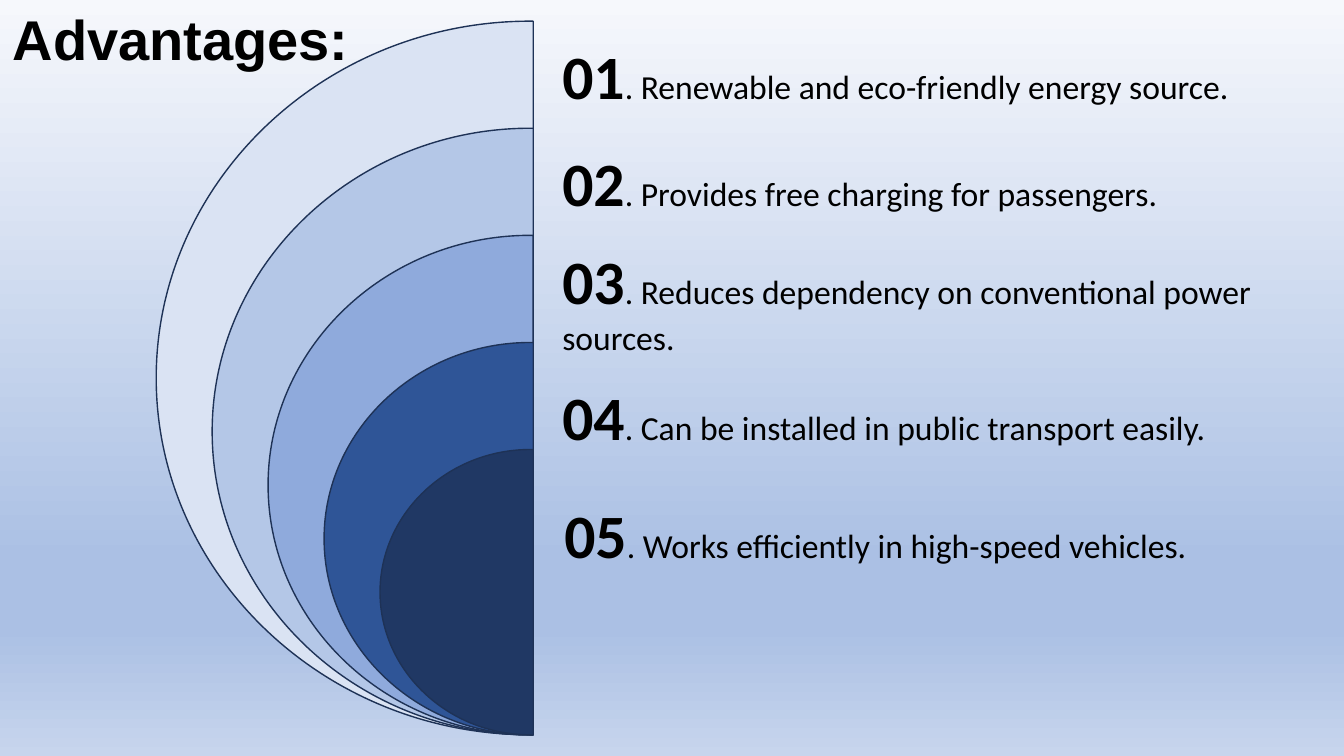
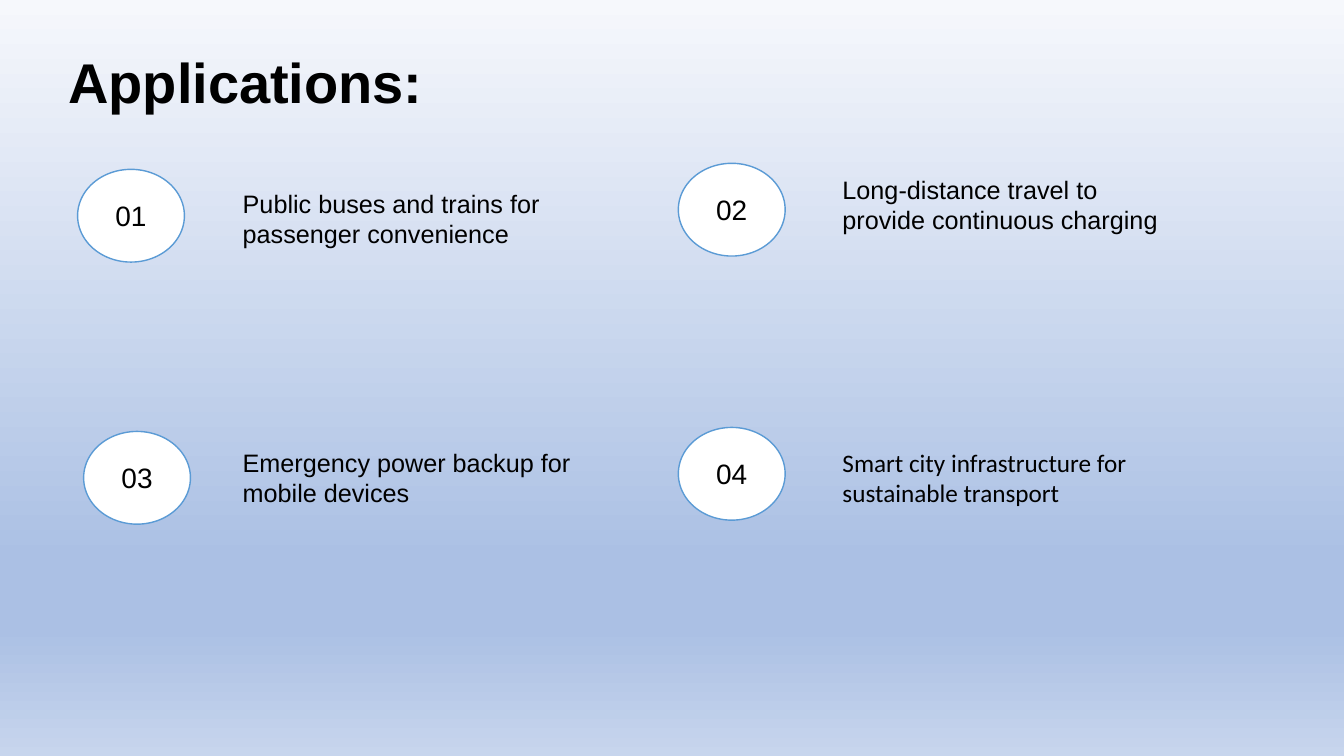
"""Build two slides on the advantages and applications of a charging system."""
from lxml import etree
from pptx import Presentation
from pptx.dml.color import RGBColor
from pptx.enum import shapes, text
from pptx.oxml import ns
from pptx.util import Inches, Pt

BLACK = RGBColor(0x00, 0x00, 0x00)
WHITE = RGBColor(0xFF, 0xFF, 0xFF)
RING_LINE = RGBColor(0x1E, 0x32, 0x56)
BADGE_LINE = RGBColor(0x5B, 0x9B, 0xD5)
SKY_PALE = RGBColor(0xF6, 0xF8, 0xFC)
SKY_DEEP = RGBColor(0xAB, 0xC0, 0xE4)
SKY_LOW = RGBColor(0xC7, 0xD5, 0xED)
SKY_STOPS = [(0, SKY_PALE), (74, SKY_DEEP), (83, SKY_DEEP), (100, SKY_LOW)]
RING_FILLS = [
    RGBColor(0xDA, 0xE3, 0xF3),
    RGBColor(0xB4, 0xC7, 0xE7),
    RGBColor(0x8F, 0xAA, 0xDC),
    RGBColor(0x2F, 0x55, 0x97),
    RGBColor(0x20, 0x38, 0x64),
]
ARC_PULL = 0.55

HEADING_FONT = "Arial"
BODY_FONT = "Calibri"
JUSTIFY = text.PP_ALIGN.JUSTIFY
LEFT = text.PP_ALIGN.LEFT

ADVANTAGES = [
    (5.48, 0.33, 7.21, 0.84, JUSTIFY, "Renewable and eco-friendly energy source."),
    (5.48, 1.39, 6.67, 0.84, JUSTIFY, "Provides free charging for passengers."),
    (5.48, 2.36, 7.31, 1.25, LEFT,
     "Reduces dependency on conventional power sources."),
    (5.48, 3.71, 6.94, 0.84, LEFT, "Can be installed in public transport easily."),
    (5.50, 4.88, 7.02, 0.84, LEFT, "Works efficiently in high-speed vehicles."),
]
APPLICATIONS = [
    (2.31, 1.82, HEADING_FONT, "Public buses and trains for passenger convenience"),
    (8.26, 1.68, HEADING_FONT, "Long-distance travel to provide continuous charging"),
    (2.31, 4.39, HEADING_FONT, "Emergency power backup for mobile devices"),
    (8.26, 4.39, BODY_FONT, "Smart city infrastructure for sustainable transport"),
]
BADGES = [
    (0.77, 1.68, "01"), (0.83, 4.28, "03"), (6.73, 1.62, "02"), (6.73, 4.24, "04"),
]


def paint_background(master):
    """Give every slide the same vertical gradient."""
    fill = master.background.fill
    fill.gradient()
    fill.gradient_angle = 270
    stop_list = master.element.find(".//" + ns.qn("p:bgPr")).find(
        ".//" + ns.qn("a:gsLst"))
    for stop in list(stop_list):
        stop_list.remove(stop)
    for percent, color in SKY_STOPS:
        stop = etree.SubElement(stop_list, ns.qn("a:gs"), pos=str(percent * 1000))
        etree.SubElement(stop, ns.qn("a:srgbClr"), val=str(color))


def add_span(para, words, size, font=BODY_FONT, bold=False):
    """Append formatted text to a paragraph."""
    span = para.add_run()
    span.text = words
    span.font.size = Pt(size)
    span.font.name = font
    span.font.bold = bold
    span.font.color.rgb = BLACK


def add_text_box(page, left, top, width, height, align=LEFT):
    """Add a wrapping text box and return its first paragraph."""
    box = page.shapes.add_textbox(
        Inches(left), Inches(top), Inches(width), Inches(height))
    box.text_frame.word_wrap = True
    box.text_frame.auto_size = text.MSO_AUTO_SIZE.SHAPE_TO_FIT_TEXT
    para = box.text_frame.paragraphs[0]
    para.alignment = align
    return para


def add_title(page, words, left, top, width):
    """Add the slide heading."""
    para = add_text_box(page, left, top, width, 0.77)
    add_span(para, words, 40, font=HEADING_FONT, bold=True)


def style_shape(shape, fill, line):
    """Set a flat fill and a thin outline."""
    shape.shadow.inherit = False
    shape.fill.solid()
    shape.fill.fore_color.rgb = fill
    shape.line.color.rgb = line
    shape.line.width = Pt(1)


def bend_segment(segment, controls):
    """Turn a straight outline segment into a cubic curve."""
    segment.tag = ns.qn("a:cubicBezTo")
    for index, (x, y) in enumerate(controls):
        point = etree.Element(ns.qn("a:pt"), x=str(round(x)), y=str(round(y)))
        segment.insert(index, point)


def add_half_disc(group, left, top, fill, center=5.26, right=5.29, bottom=7.29):
    """Add the left half of an ellipse with a straight right edge."""
    middle = (top + bottom) / 2
    corners = [(center, top), (left, middle), (center, bottom), (right, bottom)]
    builder = group.shapes.build_freeform(Inches(right), Inches(top))
    builder.add_line_segments([(Inches(x), Inches(y)) for x, y in corners])
    disc = builder.convert_to_shape()
    style_shape(disc, fill, RING_LINE)
    upper, lower = disc.element.findall(".//" + ns.qn("a:lnTo"))[1:3]
    radius_x, radius_y = Inches(center - left), Inches(middle - top)
    near_x, pull_y = radius_x * (1 - ARC_PULL), radius_y * ARC_PULL
    bend_segment(upper, [(near_x, 0), (0, radius_y - pull_y)])
    bend_segment(lower, [(0, radius_y + pull_y), (near_x, 2 * radius_y)])


def add_badge(page, left, top, label):
    """Add a numbered ellipse."""
    badge = page.shapes.add_shape(
        shapes.MSO_SHAPE.OVAL, Inches(left), Inches(top), Inches(1.06), Inches(0.92))
    style_shape(badge, WHITE, BADGE_LINE)
    badge.text_frame.vertical_anchor = text.MSO_ANCHOR.MIDDLE
    para = badge.text_frame.paragraphs[0]
    para.alignment = text.PP_ALIGN.CENTER
    add_span(para, label, 20, font=HEADING_FONT)


def build_advantages(page):
    """Fill the slide with nested half discs and a numbered list."""
    rings = page.shapes.add_group_shape()
    last = len(RING_FILLS) - 1
    for index, fill in enumerate(RING_FILLS):
        share = index / last
        add_half_disc(rings, 1.55 + 2.22 * share, 0.21 + 4.25 * share, fill)
    for number, (left, top, width, height, align, words) in enumerate(ADVANTAGES, 1):
        para = add_text_box(page, left, top, width, height, align)
        add_span(para, f"{number:02}", 44, bold=True)
        add_span(para, f". {words}", 24)
    add_title(page, "Advantages:", 0.03, 0, 3.74)


def build_applications(page):
    """Fill the slide with short texts and numbered badges."""
    add_title(page, "Applications:", 0.58, 0.42, 4.47)
    for left, top, font, words in APPLICATIONS:
        add_span(add_text_box(page, left, top, 3.54, 1.18), words, 18, font=font)
    for left, top, label in BADGES:
        add_badge(page, left, top, label)


def main():
    """Create and save the deck."""
    deck = Presentation()
    deck.slide_width, deck.slide_height = Inches(40 / 3), Inches(7.5)
    paint_background(deck.slide_master)
    for build in (build_advantages, build_applications):
        build(deck.slides.add_slide(deck.slide_layouts[6]))
    deck.save("out.pptx")


if __name__ == "__main__":
    main()
